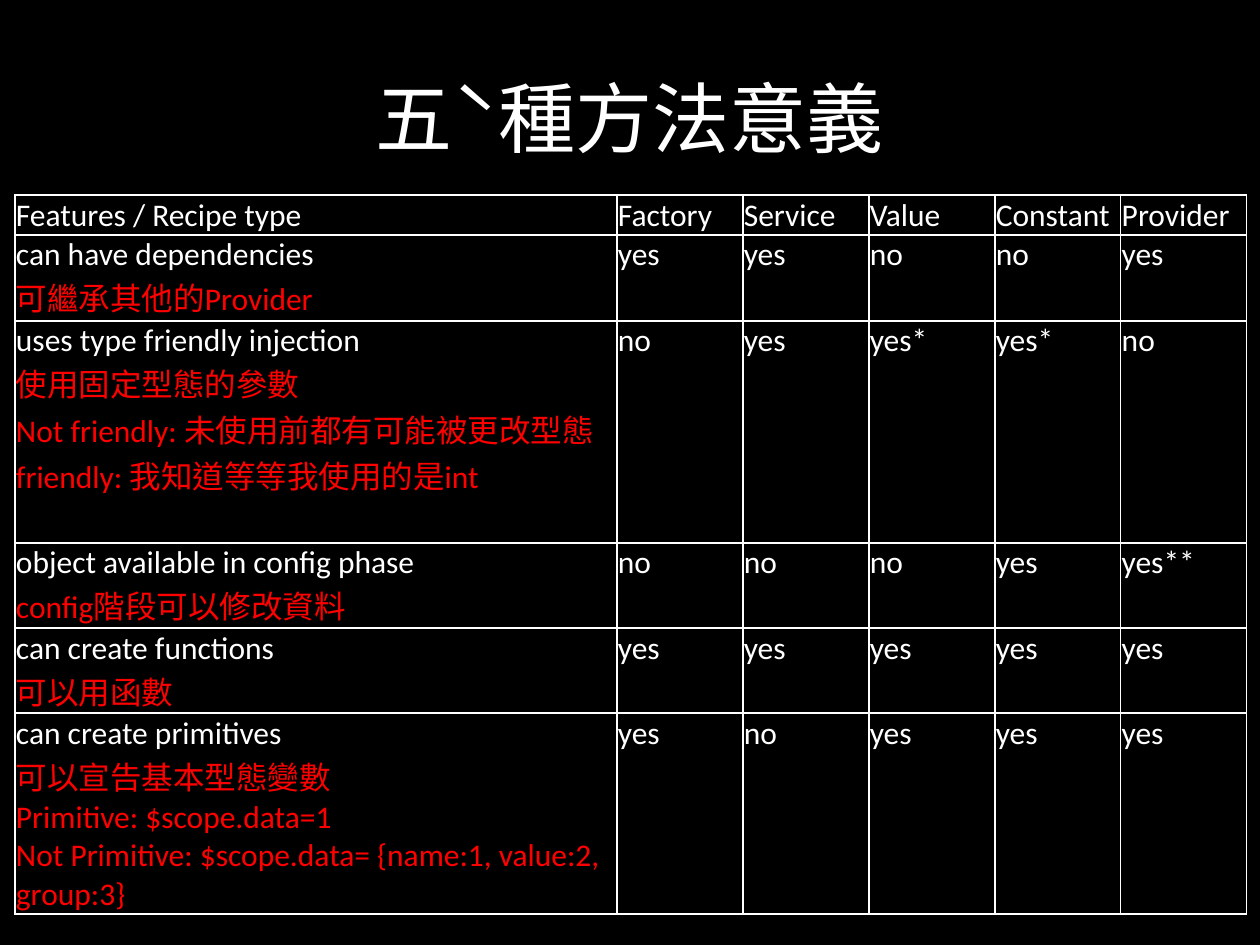
from dataclasses import dataclass
from lxml.etree import SubElement
from pptx import Presentation
from pptx.dml.color import RGBColor
from pptx.enum.lang import MSO_LANGUAGE_ID
from pptx.enum.text import MSO_ANCHOR, PP_ALIGN
from pptx.oxml.ns import qn
from pptx.util import Emu, Pt

SCALE = 914400 // 126  # EMU per pixel


@dataclass(frozen=True)
class Theme:
    font: str = "Calibri"
    back: RGBColor = RGBColor(0, 0, 0)
    text: RGBColor = RGBColor(255, 255, 255)
    note: RGBColor = RGBColor(255, 0, 0)
    title_size: int = 44
    cell_size: int = 18
    border: int = 1


THEME = Theme()
TITLE = "五ˋ種方法意義"
HEADER = ["Features / Recipe type", "Factory", "Service", "Value", "Constant", "Provider"]
# Feature, its red notes, and the answer for each recipe type
FEATURES = [
    ("can have dependencies", ["可繼承其他的Provider"], "yes yes no no yes"),
    ("uses type friendly injection",
     ["使用固定型態的參數", "Not friendly: 未使用前都有可能被更改型態",
      "friendly: 我知道等等我使用的是int"], "no yes yes* yes* no"),
    ("object available in config phase", ["config階段可以修改資料"], "no no no yes yes**"),
    ("can create functions", ["可以用函數"], "yes yes yes yes yes"),
    ("can create primitives",
     ["可以宣告基本型態變數", "Primitive: $scope.data=1",
      "Not Primitive: $scope.data= {name:1, value:2, group:3}"], "yes no yes yes yes"),
]
COLUMNS = [602] + [126] * 5
ROWS = [40, 86, 222, 85, 85, 201]


def px(n):
    return Emu(n * SCALE)


def add_run(p, text, size, color):
    r = p.add_run()
    r.text = text
    r.font.name = THEME.font
    r.font.size = Pt(size)
    r.font.bold = False
    r.font.color.rgb = color
    r.font.language_id = MSO_LANGUAGE_ID.TRADITIONAL_CHINESE


def set_borders(cell):
    tc_pr = cell._tc.get_or_add_tcPr()
    for i, side in enumerate(("lnL", "lnR", "lnT", "lnB")):
        line = SubElement(tc_pr, qn("a:" + side), w=str(Pt(THEME.border)))
        fill = SubElement(line, qn("a:solidFill"))
        SubElement(fill, qn("a:srgbClr"), val=str(THEME.text))
        tc_pr.insert(i, line)  # borders come before the fill


def fill_cell(cell, text, notes=(), anchor=MSO_ANCHOR.TOP):
    cell.fill.solid()
    cell.fill.fore_color.rgb = THEME.back
    set_borders(cell)
    cell.margin_left = cell.margin_right = cell.margin_top = px(1)
    cell.margin_bottom = 0
    cell.vertical_anchor = anchor
    p = cell.text_frame.paragraphs[0]
    add_run(p, text, THEME.cell_size, THEME.text)
    for note in notes:
        p.add_line_break()
        add_run(p, note, THEME.cell_size, THEME.note)


def place_title(s, left, top, width, height):
    sp = s.shapes.title
    sp.left, sp.top, sp.width, sp.height = map(px, (left, top, width, height))
    tf = sp.text_frame
    tf.vertical_anchor = MSO_ANCHOR.MIDDLE
    p = tf.paragraphs[0]
    p.alignment = PP_ALIGN.CENTER
    add_run(p, TITLE, THEME.title_size, THEME.text)


def place_table(s, left, top):
    box = map(px, (left, top, sum(COLUMNS), sum(ROWS)))
    table = s.shapes.add_table(len(ROWS), len(COLUMNS), *box).table
    table.horz_banding = False
    for column, width in zip(table.columns, COLUMNS):
        column.width = px(width)
    for row, height in zip(table.rows, ROWS):
        row.height = px(height)
    # Header row
    for c, text in enumerate(HEADER):
        fill_cell(table.cell(0, c), text, anchor=MSO_ANCHOR.BOTTOM)
    # Feature rows
    for r, (feature, notes, answers) in enumerate(FEATURES, 1):
        fill_cell(table.cell(r, 0), feature, notes)
        for c, answer in enumerate(answers.split(), 1):
            fill_cell(table.cell(r, c), answer)


prs = Presentation()
prs.slide_width, prs.slide_height = px(1260), px(945)
s = prs.slides.add_slide(prs.slide_layouts[5])
s.background.fill.solid()
s.background.fill.fore_color.rgb = THEME.back
place_title(s, 63, 38, 1134, 157)
place_table(s, 15, 195)
prs.save("out.pptx")
